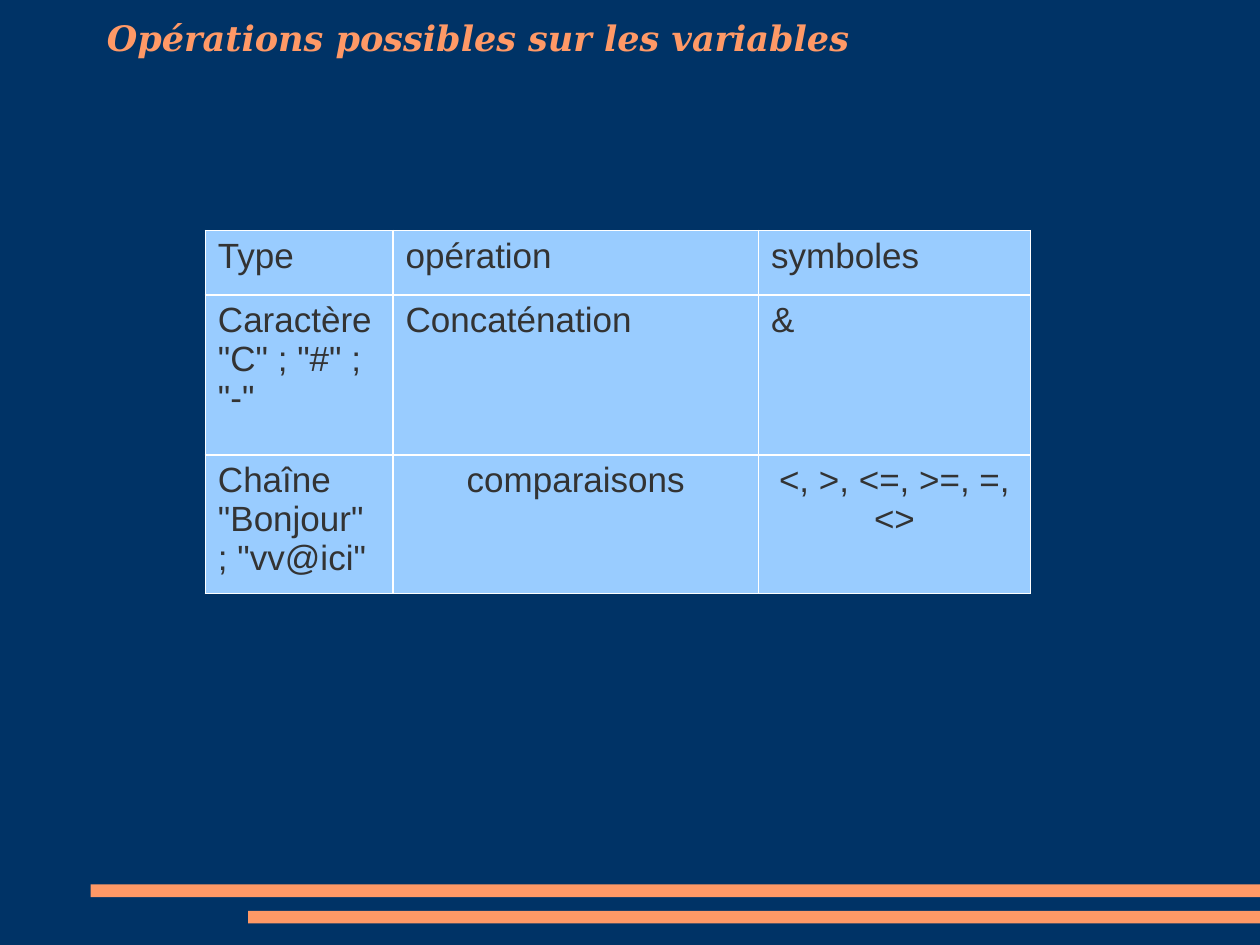
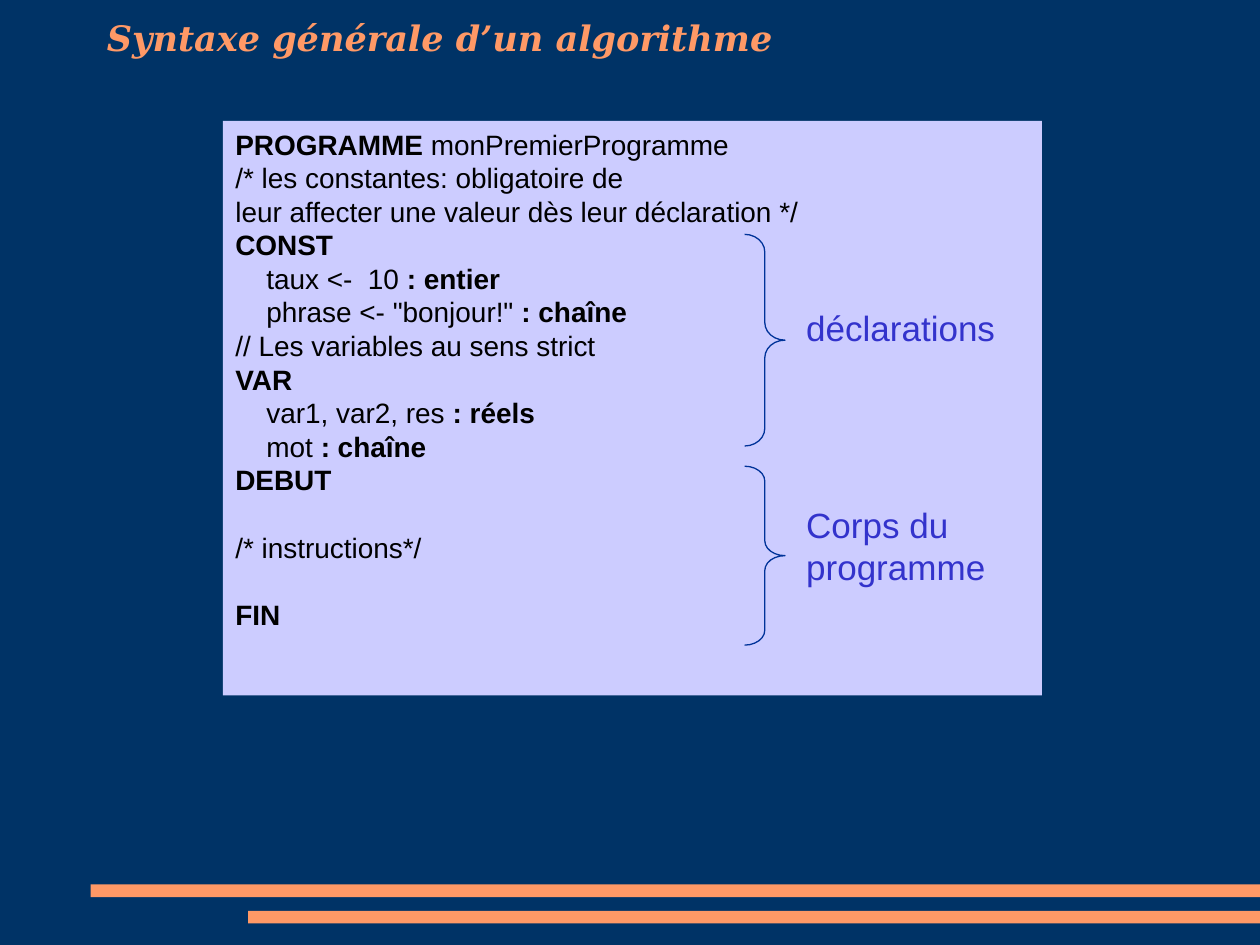
from dataclasses import dataclass
from pptx import Presentation
from pptx import util as u
from pptx.dml.color import RGBColor
from pptx.enum import shapes, text


@dataclass(frozen=True)
class Theme:
    background: str = "003366"
    accent: str = "FF9966"
    cell: str = "99CCFF"
    cell_text: str = "333333"
    panel: str = "CCCCFF"
    code_text: str = "000000"
    label: str = "3333CC"
    brace: str = "003399"
    title_font: str = "DejaVu Serif"
    body_font: str = "Arial"
    large: int = 20
    code: int = 16


T = Theme()
rgb = RGBColor.from_string


def add_box(s, kind, left, top, width, height, fill=None):
    sp = s.shapes.add_shape(kind, *map(u.Inches, (left, top, width, height)))
    sp.shadow.inherit = False
    sp.line.fill.background()
    if fill:
        sp.fill.solid()
        sp.fill.fore_color.rgb = rgb(fill)
    else:
        sp.fill.background()
    return sp


def style(p, size, color, font=T.body_font, align=text.PP_ALIGN.LEFT, spacing=None):
    p.alignment = align
    if spacing:
        p.line_spacing = u.Pt(spacing)
    for r in p.runs:
        r.font.name = font
        r.font.size = u.Pt(size)
        r.font.color.rgb = rgb(color)


prs = Presentation()
prs.slide_width, prs.slide_height = u.Inches(10), u.Inches(7.5)

slides = []
for title in ("Opérations possibles sur les variables", "Syntaxe générale d’un algorithme"):
    s = prs.slides.add_slide(prs.slide_layouts[6])
    s.background.fill.solid()
    s.background.fill.fore_color.rgb = rgb(T.background)
    for left, top in ((0.72, 7.02), (1.97, 7.23)):
        add_box(s, shapes.MSO_SHAPE.RECTANGLE, left, top, 10 - left, 0.1, T.accent)
    tf = s.shapes.add_textbox(u.Inches(0.75), 0, u.Inches(8.5), u.Inches(0.6)).text_frame
    tf.word_wrap = True
    tf.vertical_anchor = text.MSO_ANCHOR.MIDDLE
    tf.text = title
    p = tf.paragraphs[0]
    style(p, T.large, T.accent, T.title_font)
    p.runs[0].font.bold = p.runs[0].font.italic = True
    slides.append(s)

operations_slide, syntax_slide = slides

operations = [
    ["Type", "opération", "symboles"],
    ["Caractère\n\"C\" ; \"#\" ; \"-\"", "Concaténation", "&"],
    ["Chaîne\n\"Bonjour\" ; \"vv@ici\"", "comparaisons", "<, >, <=, >=, =, <>"],
]
widths, heights = (1.49, 2.9, 2.16), (0.51, 1.27, 1.1)
table = operations_slide.shapes.add_table(
    3, 3, u.Inches(1.63), u.Inches(1.83), u.Inches(sum(widths)), u.Inches(sum(heights))
).table
for column, width in zip(table.columns, widths):
    column.width = u.Inches(width)
for row, height in zip(table.rows, heights):
    row.height = u.Inches(height)
for i, row in enumerate(operations):
    for j, value in enumerate(row):
        cell = table.cell(i, j)
        cell.fill.solid()
        cell.fill.fore_color.rgb = rgb(T.cell)
        cell.text_frame.text = value
        align = text.PP_ALIGN.CENTER if i == 2 and j > 0 else text.PP_ALIGN.LEFT
        for p in cell.text_frame.paragraphs:
            style(p, T.large, T.cell_text, align=align, spacing=22.3)
            for r in p.runs:
                r.font.bold = False

code_spacing = 19.2
code_lines = [
    [("PROGRAMME ", True), ("monPremierProgramme", False)],
    [("/* les constantes: obligatoire de", False)],
    [("leur affecter une valeur dès leur déclaration */", False)],
    [("CONST", True)],
    [("    taux <-  10 ", False), (": entier", True)],
    [("    phrase <- \"bonjour!\" ", False), (": chaîne", True)],
    [("// Les variables au sens strict", False)],
    [("VAR", True)],
    [("    var1, var2, res ", False), (": réels", True)],
    [("    mot ", False), (": chaîne", True)],
    [("DEBUT", True)],
    [("/* instructions*/", False)],
    [("FIN", True)],
]
after_gap = {"/* instructions*/", "FIN"}
panel = add_box(syntax_slide, shapes.MSO_SHAPE.RECTANGLE, 1.77, 0.96, 6.5, 4.56, T.panel)
tf = panel.text_frame
tf.word_wrap = True
tf.vertical_anchor = text.MSO_ANCHOR.TOP
for i, line in enumerate(code_lines):
    p = tf.add_paragraph() if i else tf.paragraphs[0]
    for content, bold in line:
        r = p.add_run()
        r.text = content
        r.font.bold = bold
    style(p, T.code, T.code_text, spacing=code_spacing)
    if p.text in after_gap:
        p.space_before = u.Pt(code_spacing)

sections = [
    ("déclarations", 1.86, 1.68, 2.38, 0.44),
    ("Corps du programme", 3.7, 1.42, 3.95, 0.77),
]
for label, top, height, label_top, label_height in sections:
    brace = add_box(syntax_slide, shapes.MSO_SHAPE.RIGHT_BRACE, 5.91, top, 0.32, height)
    brace.adjustments[0] = height / 12 / 0.32
    brace.line.color.rgb = rgb(T.brace)
    brace.line.width = u.Pt(0.75)
    tf = syntax_slide.shapes.add_textbox(
        u.Inches(6.3), u.Inches(label_top), u.Inches(1.73), u.Inches(label_height)
    ).text_frame
    tf.word_wrap = True
    tf.text = label
    style(tf.paragraphs[0], T.large, T.label, spacing=24)

prs.save("out.pptx")
